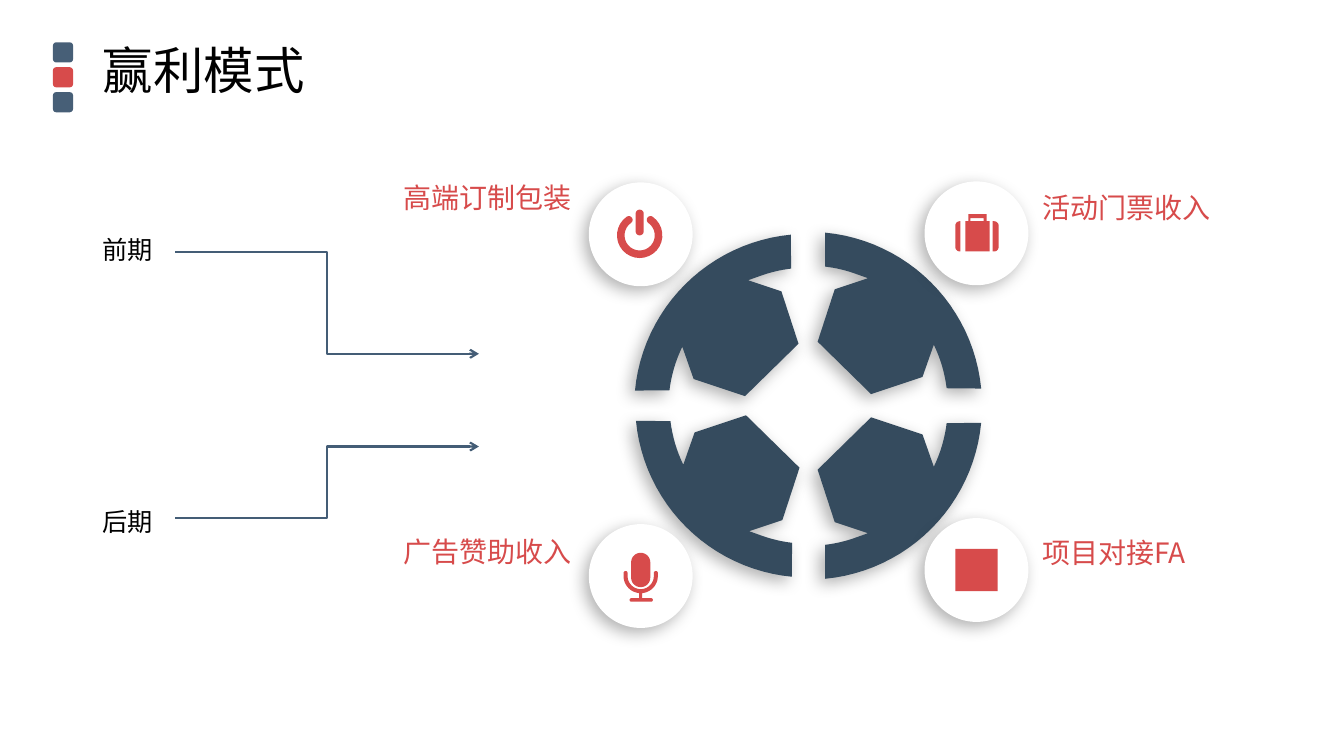
from math import cos, radians, sin

from lxml.etree import SubElement
from pptx import Presentation
from pptx.dml.color import RGBColor as Color
from pptx.enum.shapes import MSO_CONNECTOR as Connector, MSO_SHAPE as Shape
from pptx.enum.text import MSO_ANCHOR as Anchor, PP_ALIGN as Align
from pptx.oxml.ns import qn
from pptx.util import Inches, Pt

COLORS = {"slate": "475F77", "red": "D74B4B", "navy": "354B5E", "white": "FFFFFF",
          "black": "000000", "line": "445D76"}
CELL = Inches(0.1)  # one grid column or row
FINE = 1000  # drawing units per cell


# Outline helpers, in grid cells
def arc(x, y, radius, start, end, steps=24):
    angles = [radians(start + (end - start) * i / steps) for i in range(steps + 1)]
    return [(x + radius * cos(a), y + radius * sin(a)) for a in angles]


def panel(left, top, right, bottom, left_radius=0.0, right_radius=0.0):
    corners = [(right, bottom, right_radius, -1, -1), (left, bottom, left_radius, 1, -1),
               (left, top, left_radius, 1, 1), (right, top, right_radius, -1, 1)]
    points = []
    for i, (x, y, radius, dx, dy) in enumerate(corners):
        points += arc(x + dx * radius, y + dy * radius, radius, 90 * i, 90 * i + 90, 8)
    return points


def open_ring(x, y, outer, inner, start, end):
    middle, cap = (outer + inner) / 2, (outer - inner) / 2
    (x1, y1), (x2, y2) = arc(x, y, middle, start, end, 1)
    return (arc(x, y, outer, start, end) + arc(x2, y2, cap, end, end + 180, 8)
            + arc(x, y, inner, end, start) + arc(x1, y1, cap, start + 180, start + 360, 8))


def petal(side_x, side_y):
    points = (arc(0, 0, 17.2, 5.5, 84.5) + arc(0, 0, 13.85, 83.2, 69.9, 8)
              + [(5.9, 12.6), (2.6, 11.5), (0.9, 6.3), (6.2, 1.1), (11.3, 2.8)]
              + arc(0, 0, 13.8, 25.8, 7, 8))
    return [(side_x * x, side_y * y) for x, y in points]


POWER = [open_ring(-0.1, 0.1, 2.25, 1.5, -55, 235),
         panel(-0.5, -2.45, 0.3, 0.1, 0.4, 0.4)]
SUITCASE = [panel(-2.1, -1.2, -1.6, 1.8, 0.45, 0), panel(-1.1, -1.2, 1.3, 1.8),
            panel(1.6, -1.2, 2.2, 1.8, 0, 0.45),
            panel(-0.8, -1.9, 1, -1.2), panel(-0.6, -1.5, 0.7, -1.2)]
MICROPHONE = [arc(0, 0, 1.7, 0, 180) + arc(-1.5, -0.3, 0.2, 180, 360, 8)
              + arc(0, 0, 1.3, 180, 0) + arc(1.5, -0.3, 0.2, 180, 360, 8),
              panel(-0.15, 1.7, 0.15, 2.2), panel(-1.1, 2.2, 1.2, 2.55, 0.17, 0.17),
              panel(-0.95, -2.3, 0.95, 1.1, 0.94, 0.94)]
SQUARE = [panel(-2.1, -2.1, 2.1, 2.1)]


class Board:
    fonts = {"head": "Cabin", "label": "Noto Sans CJK SC"}

    def __init__(self, deck):
        self.page = deck.slides.add_slide(deck.slide_layouts[5])
        self.shapes = self.page.shapes

    @staticmethod
    def cells(*values):
        return [round(value * CELL) for value in values]

    def paint(self, shape, color, shadow=False):
        shape.fill.solid()
        shape.fill.fore_color.rgb = Color.from_string(COLORS[color])
        shape.line.fill.background()
        shape.shadow.inherit = False
        if shadow:
            effects = shape.element.spPr.find(qn("a:effectLst"))
            outer = SubElement(effects, qn("a:outerShdw"), blurRad=str(Pt(12)),
                               dist=str(Pt(5)), dir="8100000", algn="tr", rotWithShape="0")
            tint = SubElement(outer, qn("a:srgbClr"), val=COLORS["black"])
            SubElement(tint, qn("a:alpha"), val="30000")

    def set_text(self, box, text, size, font, color, align=Align.LEFT, spacing=1.0,
                 anchor=Anchor.TOP):
        frame = box.text_frame
        para = frame.paragraphs[0]
        span = para.add_run()
        span.text = text
        formats = [(frame, {"word_wrap": True, "vertical_anchor": anchor}),
                   (para, {"alignment": align, "line_spacing": spacing}),
                   (span.font, {"size": Pt(size), "name": self.fonts[font]})]
        for target, values in formats:
            for name, value in values.items():
                setattr(target, name, value)
        span.font.color.rgb = Color.from_string(COLORS[color])
        SubElement(span.font._element, qn("a:ea"), typeface=self.fonts[font])

    def title(self, text, *place):
        box = self.shapes.title
        for name, value in zip(("left", "top", "width", "height"), self.cells(*place)):
            setattr(box, name, value)
        self.set_text(box, text, 36, "head", "black", spacing=0.9, anchor=Anchor.MIDDLE)

    def label(self, text, place, *style):
        self.set_text(self.shapes.add_textbox(*self.cells(*place)), text, *style)

    def preset(self, kind, place, color, shadow=False):
        self.paint(self.shapes.add_shape(kind, *self.cells(*place)), color, shadow)

    def outline(self, center, contours, color, shadow=False):
        builder = None
        for contour in contours:
            points = [(round(x * FINE), round(y * FINE)) for x, y in contour]
            if builder is None:
                builder = self.shapes.build_freeform(*points[0], scale=CELL / FINE)
            else:
                builder.move_to(*points[0])
            builder.add_line_segments(points[1:], close=True)
        self.paint(builder.convert_to_shape(*self.cells(*center)), color, shadow)

    def arrow(self, *ends):
        link = self.shapes.add_connector(Connector.ELBOW, *self.cells(*ends))
        link.line.color.rgb = Color.from_string(COLORS["line"])
        link.line.width = Pt(1.5)
        SubElement(link.element.spPr.find(qn("a:ln")), qn("a:tailEnd"), type="arrow")
        SubElement(link.element.spPr, qn("a:effectLst"))


def main():
    deck = Presentation()
    deck.slide_width, deck.slide_height = Inches(13.33), Inches(7.5)
    board = Board(deck)

    # Heading with its three squares
    for row, color in enumerate(("slate", "red", "slate")):
        board.preset(Shape.ROUNDED_RECTANGLE, (5.25, 4.2 + 2.47 * row, 2, 2), color)
    board.title("赢利模式", 9.2, 1.4, 115, 11.8)

    # Wheel quarters: sides, hub, badge centre, icon, label and its place
    quarters = [
        (-1, -1, (80.1, 40.4), (63.55, 23.25), POWER, "高端订制包装", (36.7, 17.4, 21, 4.4)),
        (1, -1, (80.2, 40.2), (96.85, 23.15), SUITCASE, "活动门票收入", (102.4, 18.4, 21, 4.6)),
        (-1, 1, (80.2, 40.1), (63.55, 57.15), MICROPHONE, "广告赞助收入", (36.7, 52.5, 21, 4.6)),
        (1, 1, (80.2, 40.3), (96.85, 56.55), SQUARE, "项目对接FA", (102.4, 52.6, 30, 4.6)),
    ]
    badge = 10.3
    for side_x, side_y, hub, center, icon, text, place in quarters:
        board.outline(hub, [petal(side_x, side_y)], "navy", True)
        corner = [value - badge / 2 for value in center]
        board.preset(Shape.OVAL, (*corner, badge, badge), "white", True)
        align = Align.RIGHT if side_x < 0 else Align.LEFT
        board.label(text, place, 20, "label", "red", align)
        board.outline(center, icon, "red")

    # Phases and their arrows
    for text, top, start, end in (("前期", 22.8, 25, 35.1), ("后期", 49.7, 51.4, 44.3)):
        board.label(text, (9.2, top, 11.5, 4), 18, "head", "black")
        board.arrow(17.4, start, 47.5, end)

    deck.save("out.pptx")


if __name__ == "__main__":
    main()
